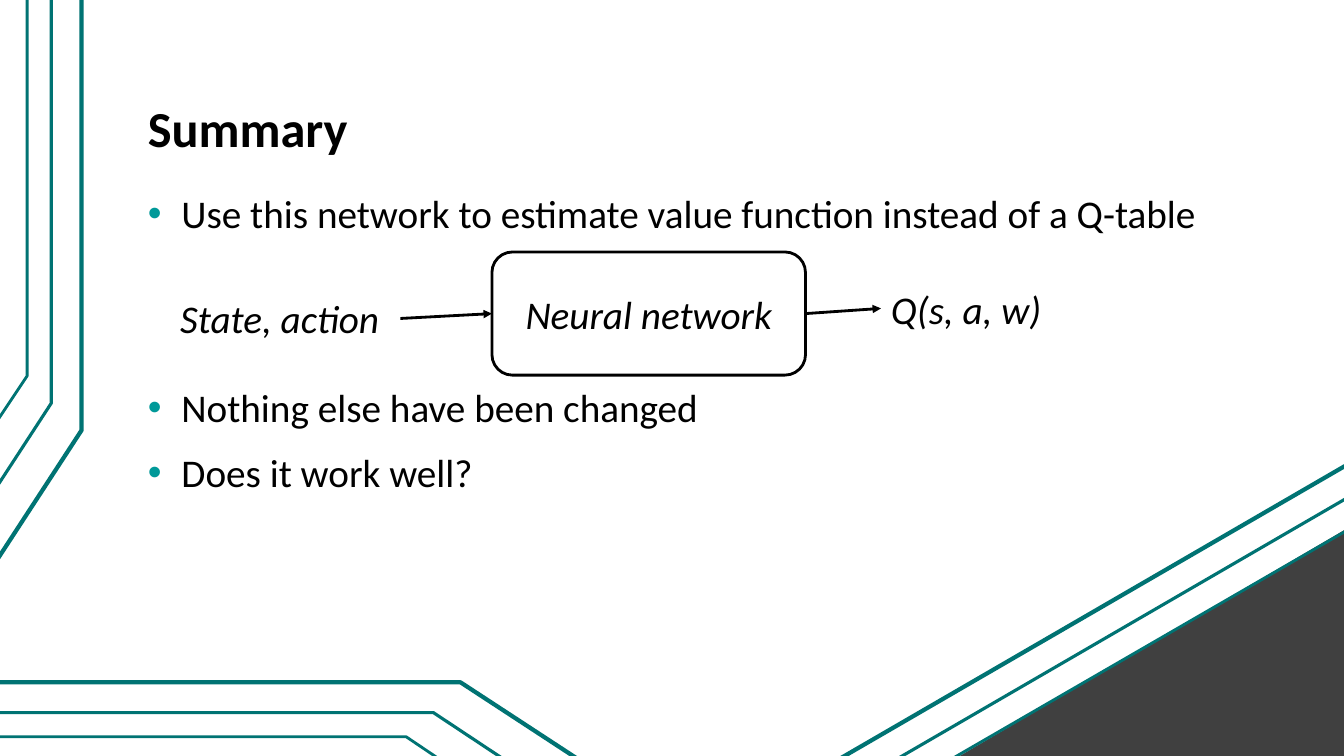
"""Build the summary slide with its value-network flow."""
from dataclasses import dataclass

from lxml import etree
from pptx import Presentation
from pptx.dml.color import RGBColor
from pptx.enum.shapes import MSO_CONNECTOR, MSO_SHAPE
from pptx.enum.text import MSO_ANCHOR, MSO_AUTO_SIZE, PP_ALIGN
from pptx.oxml.ns import qn
from pptx.util import Pt

STRAIGHT = MSO_CONNECTOR.STRAIGHT
ROUNDED, TRIANGLE = MSO_SHAPE.ROUNDED_RECTANGLE, MSO_SHAPE.RIGHT_TRIANGLE
TOP, MIDDLE, BOTTOM = MSO_ANCHOR.TOP, MSO_ANCHOR.MIDDLE, MSO_ANCHOR.BOTTOM
LEFT, CENTER = PP_ALIGN.LEFT, PP_ALIGN.CENTER
NO_FIT = MSO_AUTO_SIZE.NONE


@dataclass
class Theme:
    font: str = "Calibri"
    title: int = 36
    body: int = 28
    ink: RGBColor = RGBColor(0, 0, 0)
    paper: RGBColor = RGBColor(255, 255, 255)
    teal: RGBColor = RGBColor(0x00, 0x73, 0x73)
    corner: RGBColor = RGBColor(0x40, 0x40, 0x40)
    bullet: str = "009999"


theme = Theme()


def write(tf, text, size=theme.body, bold=False, italic=False, align=LEFT,
          anchor=TOP, inset=(7.2, 3.6), spacing=1.0, before=(0,), bullet=None):
    tf.word_wrap, tf.auto_size, tf.vertical_anchor = True, NO_FIT, anchor
    tf.margin_left = tf.margin_right = Pt(inset[0])
    tf.margin_top = tf.margin_bottom = Pt(inset[1])
    tf.text = text
    for p, gap in zip(tf.paragraphs, before):
        p.alignment, p.line_spacing, p.space_before = align, spacing, Pt(gap)
        r = p.runs[0]
        r.font.name, r.font.size, r.font.color.rgb = theme.font, Pt(size), theme.ink
        r.font.bold, r.font.italic = bold, italic
        if bullet:
            pPr = p._p.get_or_add_pPr()
            pPr.set("marL", str(Pt(24)))
            pPr.set("indent", str(-Pt(24)))
            color = etree.SubElement(pPr, qn("a:buClr"))
            etree.SubElement(color, qn("a:srgbClr"), val=theme.bullet)
            etree.SubElement(pPr, qn("a:buFont"), typeface="Arial")
            etree.SubElement(pPr, qn("a:buChar"), char=bullet)


def connect(start, end, color, width, arrow=False):
    line = s.shapes.add_connector(STRAIGHT, *[Pt(v) for v in (*start, *end)])
    line.line.color.rgb, line.line.width = color, Pt(width)
    if arrow:
        etree.SubElement(line.line._get_or_add_ln(), qn("a:tailEnd"), type="triangle")
    etree.SubElement(line._element.spPr, qn("a:effectLst"))


prs = Presentation()
prs.slide_width, prs.slide_height = Pt(960), Pt(540)
s = prs.slides.add_slide(prs.slide_layouts[1])
s.background.fill.solid()
s.background.fill.fore_color.rgb = theme.paper

corner = s.shapes.add_shape(TRIANGLE, Pt(728), Pt(314.6), Pt(175), Pt(298))
corner.rotation = 270
corner.shadow.inherit = False
corner.fill.solid()
corner.fill.fore_color.rgb = theme.corner
corner.line.fill.background()

widths = (3, 2.25, 2)
left_bends = [
    [(-6, 406), (58.3, 307.4), (58.3, -6)],
    [(-6, 353.5), (36.7, 288), (36.7, -6)],
    [(-6, 306.7), (19.4, 268.6), (19.4, -6)],
]
bottom_bends = [
    [(427, 551.5), (329, 487.4), (-6, 487.4)],
    [(374.4, 552), (309.6, 509), (-6, 509)],
    [(327.6, 551.5), (290.2, 526.3), (-6, 526.3)],
]
diagonals = [
    [(597, 543.6), (966, 329.8)],
    [(635.8, 545), (966, 353.5)],
    [(676, 544.3), (966, 376.6)],
]
for bends in (left_bends, bottom_bends):
    for points, width in zip(bends, widths):
        first, *rest = [(Pt(x), Pt(y)) for x, y in points]
        builder = s.shapes.build_freeform(*first)
        builder.add_line_segments(rest, close=False)
        bend = builder.convert_to_shape()
        bend.shadow.inherit = False
        bend.fill.background()
        bend.line.color.rgb, bend.line.width = theme.teal, Pt(width)
for (start, end), width in zip(diagonals, widths):
    connect(start, end, theme.teal, width)

title, body = s.shapes.title, s.placeholders[1]
for holder, top, height in ((title, 21.6, 96.5), (body, 134, 340)):
    holder.left, holder.top, holder.width, holder.height = (
        Pt(96), Pt(top), Pt(816), Pt(height))
    s.shapes._spTree.append(holder._element)
write(title.text_frame, "Summary", size=theme.title, bold=True, anchor=BOTTOM,
      inset=(9.6, 4.8), spacing=0.9)
points = [
    "Use this network to estimate value function instead of a Q-table",
    "Nothing else have been changed",
    "Does it work well?",
]
write(body.text_frame, "\n".join(points), inset=(9.6, 4.8), spacing=0.9,
      before=(16, 108.5, 16), bullet="•")

network = s.shapes.add_shape(ROUNDED, Pt(351.4), Pt(180), Pt(224), Pt(88))
network.shadow.inherit = False
network.fill.solid()
network.fill.fore_color.rgb = theme.paper
network.line.color.rgb, network.line.width = theme.ink, Pt(2)
write(network.text_frame, "Neural network", italic=True, align=CENTER, anchor=MIDDLE)

for label, x, y, width in (("State, action", 121.7, 206.6, 180),
                           ("Q(s, a, w)", 629.3, 200, 150)):
    box = s.shapes.add_textbox(Pt(x), Pt(y), Pt(width), Pt(41))
    write(box.text_frame, label, italic=True)
for start, end in (((286, 227.5), (351.4, 224)), ((575.4, 224), (629.3, 220.3))):
    connect(start, end, theme.ink, 2, arrow=True)

prs.save("out.pptx")
